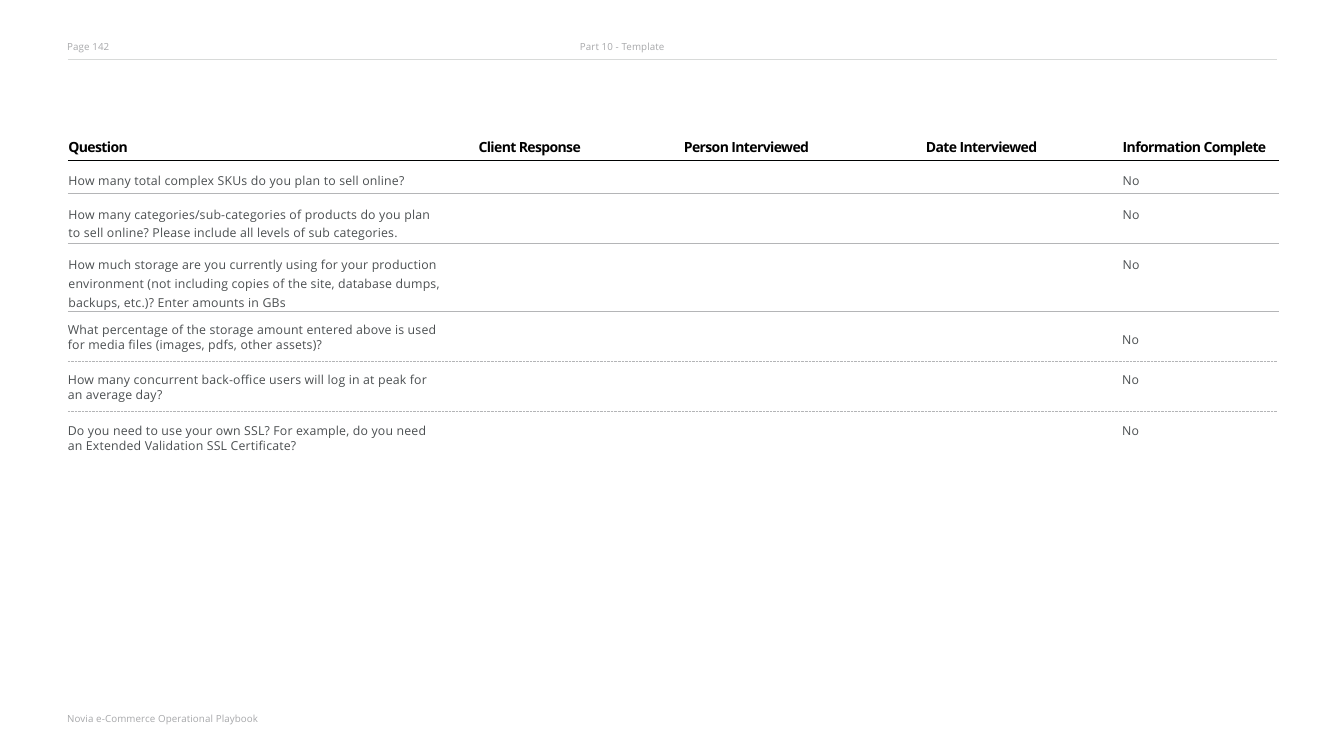
from lxml.etree import SubElement
from pptx import Presentation
from pptx.dml.color import RGBColor
from pptx.enum.dml import MSO_LINE_DASH_STYLE as Dash
from pptx.enum.shapes import MSO_CONNECTOR as Connector
from pptx.enum.text import MSO_ANCHOR as Anchor
from pptx.oxml.ns import qn
from pptx.util import Inches, Pt

COLUMNS = [  # heading, width, indent
    ("Question", 6.41, 0.01),
    ("Client Response", 2.88, 0.31),
    ("Person Interviewed", 3.85, 0.79),
    ("Date Interviewed", 3.47, 0.9),
    ("Information Complete", 3.21, 0.65),
]
TABLE_QUESTIONS = [  # question, answer, row height, top inset, line spacing
    ("How many total complex SKUs do you plan to sell online?", "No", 0.55, 0.2, 1),
    ("How many categories/sub-categories of products do you plan\n"
     "to sell online? Please include all levels of sub categories.", "No", 0.82, 0.2, 1),
    ("How much storage are you currently using for your production "
     "environment (not including copies of the site, database dumps, "
     "backups, etc.)? Enter amounts in GBs", "No", 1.1, 0.16, 1.14),
]
LOWER_QUESTIONS = [  # question, answer, drop of the answer below the question
    ("What percentage of the storage amount entered above is used "
     "for media files (images, pdfs, other assets)?", "No", 0.16),
    ("How many concurrent back-office users will log in at peak for "
     "an average day?", "No", 0),
    ("Do you need to use your own SSL? For example, do you need "
     "an Extended Validation SSL Certificate?", "No", 0),
]
MARGIN_LABELS = [  # text, left, top, width
    ("Page 142", 1.1, 0.66, 1.5),
    ("Part 10 - Template", 9.49, 0.66, 2.5),
    ("Novia e-Commerce Operational Playbook", 1.1, 11.66, 5),
]

THEME = {
    "font": "Open Sans",
    "heading": {"size": 16.5, "color": "000000", "bold": True, "tracking": -0.7},
    "body": {"size": 14.5, "color": "4B4F51", "tracking": 0.2},
    "label": {"size": 11.5, "color": "A7A8AA", "tracking": 0.1},
    "heading_rule": "000101",
    "row_rule": "B4B5B7",
    "page_rule": "D8DAD9",
}
PLAIN_TABLE_STYLE = "{2D5ABB26-0587-4C30-8999-92F81FD0307C}"
LEFT, RIGHT = 1.11, 20.9
TABLE_TOP, HEADING_HEIGHT = 2.23, 0.39
LOWER_TOP, LOWER_PITCH, RULE_OFFSET = 5.27, 0.825, 0.64
ANSWER_LEFT = 18.36


def write(frame, text, *, size, color, bold=False, tracking=0, line_spacing=1):
    frame.word_wrap = True
    for index, line in enumerate(text.split("\n")):
        paragraph = frame.paragraphs[0] if index == 0 else frame.add_paragraph()
        paragraph.line_spacing = line_spacing
        if index:
            paragraph.space_before = Pt(2.4)
        run = paragraph.add_run()
        run.text = line
        run.font.name = THEME["font"]
        run.font.size = Pt(size)
        run.font.bold = bold
        run.font.color.rgb = RGBColor.from_string(color)
        run.font._element.set("spc", str(round(tracking * 100)))


def add_text(slide, text, left, top, width, **text_format):
    box = slide.shapes.add_textbox(Inches(left), Inches(top), Inches(width), Inches(0.28))
    frame = box.text_frame
    frame.margin_left = frame.margin_right = frame.margin_top = frame.margin_bottom = 0
    write(frame, text, **text_format)


def add_rule(slide, top, color, width, dash=None):
    rule = slide.shapes.add_connector(
        Connector.STRAIGHT, Inches(LEFT), Inches(top), Inches(RIGHT), Inches(top))
    rule.line.color.rgb = RGBColor.from_string(color)
    rule.line.width = Pt(width)
    if dash:
        rule.line.dash_style = dash
    SubElement(rule._element.spPr, qn("a:effectLst"))


def style_cell(cell, indent, top_inset, rule_color):
    """Set the insets and a bottom border, then clear the fill."""
    cell.margin_left, cell.margin_top = Inches(indent), Inches(top_inset)
    cell.margin_right = cell.margin_bottom = 0
    cell.vertical_anchor = Anchor.TOP
    border = SubElement(cell._tc.get_or_add_tcPr(), qn("a:lnB"), w=str(Pt(1)))
    fill = SubElement(border, qn("a:solidFill"))
    SubElement(fill, qn("a:srgbClr"), val=rule_color)
    cell.fill.background()


def add_question_table(slide):
    heights = [HEADING_HEIGHT] + [row[2] for row in TABLE_QUESTIONS]
    widths = [width for _, width, _ in COLUMNS]
    table = slide.shapes.add_table(
        len(heights), len(COLUMNS), Inches(LEFT), Inches(TABLE_TOP),
        Inches(sum(widths)), Inches(sum(heights))).table
    table.first_row = table.horz_banding = False
    table._tbl.tblPr.find(qn("a:tableStyleId")).text = PLAIN_TABLE_STYLE
    for row, height in zip(table.rows, heights):
        row.height = Inches(height)

    for col, (heading, width, indent) in enumerate(COLUMNS):
        table.columns[col].width = Inches(width)
        cell = table.cell(0, col)
        style_cell(cell, indent, 0.02, THEME["heading_rule"])
        write(cell.text_frame, heading, **THEME["heading"])
        for row, (question, answer, _, inset, spacing) in enumerate(TABLE_QUESTIONS, 1):
            cell = table.cell(row, col)
            if col == 0:
                style_cell(cell, indent, inset, THEME["row_rule"])
                write(cell.text_frame, question, line_spacing=spacing, **THEME["body"])
            else:
                style_cell(cell, indent, 0.2, THEME["row_rule"])
                if col == len(COLUMNS) - 1:
                    write(cell.text_frame, answer, **THEME["body"])


def add_lower_questions(slide):
    for index, (question, answer, drop) in enumerate(LOWER_QUESTIONS):
        top = LOWER_TOP + index * LOWER_PITCH
        add_text(slide, question, LEFT, top, 6.08, **THEME["body"])
        add_text(slide, answer, ANSWER_LEFT, top + drop, 0.5, **THEME["body"])
        if index < len(LOWER_QUESTIONS) - 1:
            add_rule(slide, top + RULE_OFFSET, THEME["row_rule"], 0.82, Dash.ROUND_DOT)


def main():
    deck = Presentation()
    deck.slide_width, deck.slide_height = Inches(21.99), Inches(12.37)
    slide = deck.slides.add_slide(deck.slide_layouts[6])
    add_rule(slide, 0.96, THEME["page_rule"], 0.25)
    for text, left, top, width in MARGIN_LABELS:
        add_text(slide, text, left, top, width, **THEME["label"])
    add_question_table(slide)
    add_lower_questions(slide)
    deck.save("out.pptx")


if __name__ == "__main__":
    main()
